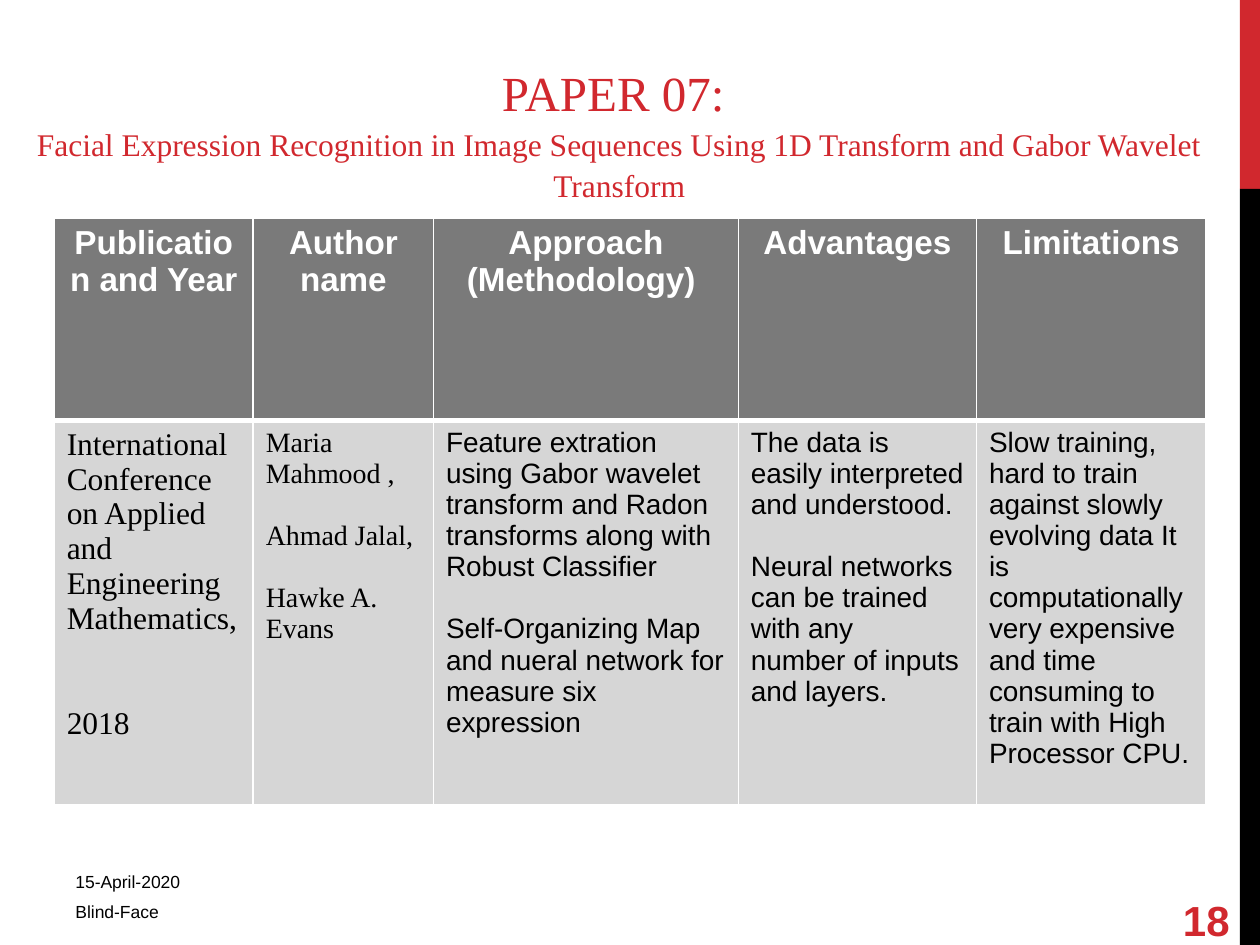
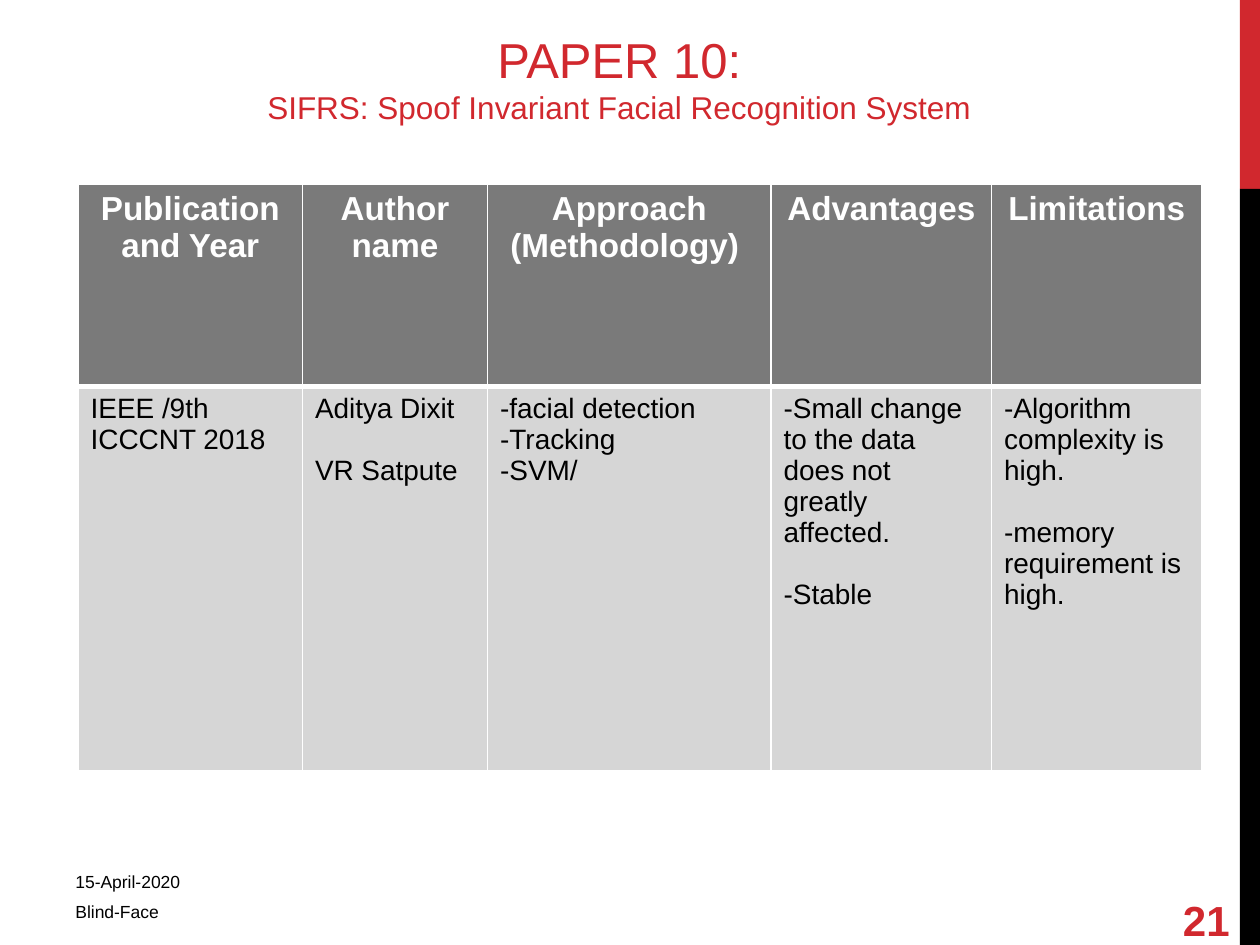
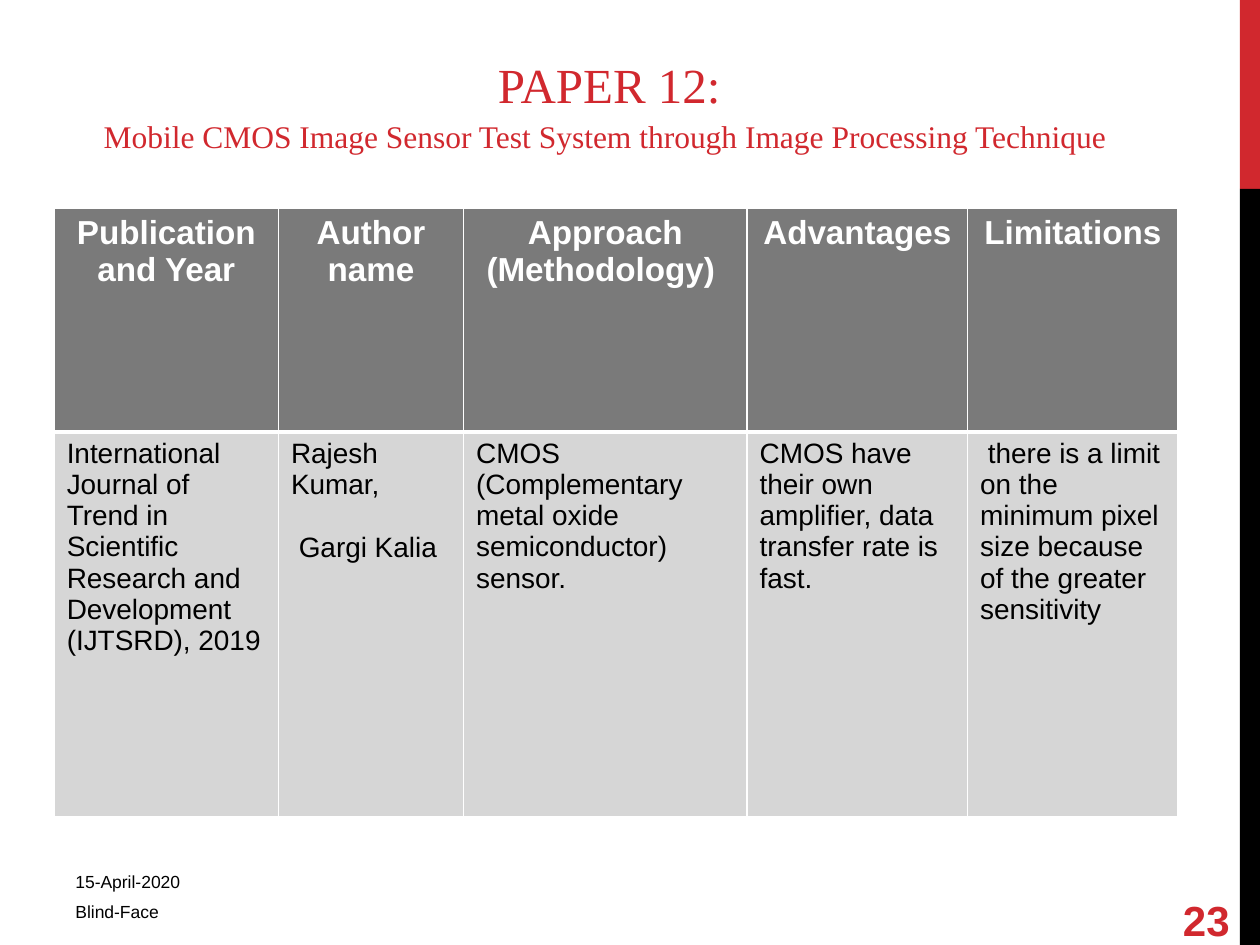
from lxml import etree
from pptx import Presentation
from pptx.dml.color import RGBColor
from pptx.enum import shapes, text
from pptx.oxml import ns
from pptx.util import Inches, Pt

RED, BLACK, WHITE = "D1282E", "000000", "FFFFFF"
HEADER_GRAY, BODY_GRAY = "7A7A7A", "D6D6D6"
SANS, SERIF = "Arial", "Times New Roman"
HEADINGS = ["Publication and Year", "Author name", "Approach (Methodology) ",
            "Advantages", "Limitations"]
COLUMNS = [1.78, 1.47, 2.25, 1.75, 1.67]
BODY_HEIGHT = 3.05
LINE_HEIGHT = 1.11

PAPERS = [
    {
        "page": 18, "font": SERIF, "title_box": (0.08, 0.17, 9.67, 1.5),
        "title": "PAPER 07: ", "spacing": 1.1,
        "subtitle": "Facial Expression Recognition in Image Sequences Using 1D Transform "
                    "and Gabor Wavelet Transform",
        "table_at": (0.43, 1.73), "columns": [1.58, 1.43, 2.42, 1.89, 1.82],
        "header_height": 1.61,
        "cells": [
            ("International Conference on Applied and Engineering Mathematics,\n\n\n2018",
             SERIF, 18),
            ("Maria Mahmood ,\n\nAhmad Jalal,\n\nHawke A. Evans", SERIF, 16),
            ("Feature extration using Gabor wavelet transform and Radon transforms along "
             "with Robust Classifier\n\nSelf-Organizing Map and nueral network for measure "
             "six expression",),
            ("The data is easily interpreted and understood.\n\n"
             "Neural networks can be trained with any\nnumber of inputs and layers.",),
            ("Slow training, hard to train against slowly evolving data It is "
             "computationally very expensive\nand time consuming to train with High "
             "Processor CPU.",),
        ],
    },
    {
        "page": 21, "font": SANS, "title_box": (0.08, 0.1, 9.67, 0.95),
        "title": "PAPER 10:", "spacing": 1.0,
        "subtitle": "SIFRS: Spoof Invariant Facial Recognition System",
        "table_at": (0.62, 1.46), "columns": COLUMNS, "header_height": 1.61,
        "cells": [
            ("IEEE /9th ICCCNT 2018",),
            ("Aditya Dixit\n\nVR Satpute",),
            ("-facial detection\n-Tracking\n-SVM/",),
            ("-Small change to the data does not greatly affected.\n\n-Stable",),
            ("-Algorithm complexity is high.\n\n-memory requirement is high.",),
        ],
    },
    {
        "page": 23, "font": SERIF, "title_box": (0, 0.22, 9.67, 1.06),
        "title": "PAPER 12:", "spacing": 1.1,
        "subtitle": "Mobile CMOS Image Sensor Test System through Image Processing Technique ",
        "table_at": (0.43, 1.65), "columns": COLUMNS, "header_height": 1.78,
        "cells": [
            ("International Journal of Trend in Scientific Research and Development "
             "(IJTSRD), 2019",),
            ("Rajesh Kumar,\n\n Gargi Kalia",),
            ("CMOS (Complementary metal oxide semiconductor)\nsensor.",),
            ("CMOS have their own amplifier, data transfer rate is fast.",),
            (" there is a limit on the\nminimum pixel size because of the greater "
             "sensitivity",),
        ],
    },
]


def color(value):
    return RGBColor.from_string(value)


class Deck:
    def __init__(self):
        self.presentation = Presentation()
        self.presentation.slide_width = Inches(10)
        self.presentation.slide_height = Inches(7.5)
        self.slide = None

    def new_slide(self):
        self.slide = self.presentation.slides.add_slide(self.presentation.slide_layouts[6])

    def style(self, paragraph, font, size, hue, bold=False, align=None):
        paragraph.font.name = font
        paragraph.font.size = Pt(size)
        paragraph.font.color.rgb = color(hue)
        paragraph.font.bold = bold
        paragraph.alignment = align

    def band(self, top, height, hue):
        shape = self.slide.shapes.add_shape(
            shapes.MSO_SHAPE.RECTANGLE, Inches(9.84), Inches(top), Inches(0.16), Inches(height))
        shape.shadow.inherit = False
        shape.fill.solid()
        shape.fill.fore_color.rgb = color(hue)
        shape.line.fill.background()

    def text_box(self, box, anchor, bottom_inset=0.05):
        frame = self.slide.shapes.add_textbox(*map(Inches, box)).text_frame
        frame.word_wrap = True
        frame.vertical_anchor = anchor
        frame.margin_bottom = Inches(bottom_inset)
        return frame

    def label(self, content, box, anchor, size=10, hue=BLACK, bold=False, bottom_inset=0.05):
        paragraph = self.text_box(box, anchor, bottom_inset).paragraphs[0]
        paragraph.text = content
        self.style(paragraph, SANS, size, hue, bold)

    def title(self, paper):
        frame = self.text_box(paper["title_box"], text.MSO_ANCHOR.BOTTOM)
        frame.text = paper["title"] + "\n" + paper["subtitle"]
        for paragraph, size in zip(frame.paragraphs, (28, 18)):
            self.style(paragraph, paper["font"], size, RED, align=text.PP_ALIGN.CENTER)
            paragraph.line_spacing = paper["spacing"]

    def border(self, cell, top=1, bottom=1):
        properties = cell._tc.get_or_add_tcPr()
        edges = {"lnL": 1, "lnR": 1, "lnT": top, "lnB": bottom}
        for position, (edge, width) in enumerate(edges.items()):
            line = etree.Element(ns.qn("a:" + edge), w=str(Pt(width)))
            fill = etree.SubElement(line, ns.qn("a:solidFill"))
            etree.SubElement(fill, ns.qn("a:srgbClr"), val=WHITE)
            properties.insert(position, line)

    def fill_cell(self, cell, hue):
        cell.fill.solid()
        cell.fill.fore_color.rgb = color(hue)

    def header_cell(self, cell, heading):
        self.fill_cell(cell, HEADER_GRAY)
        self.border(cell, bottom=3)
        cell.text = heading
        self.style(cell.text_frame.paragraphs[0], SANS, 19, WHITE, True, text.PP_ALIGN.CENTER)

    def body_cell(self, cell, content, font=SANS, size=16):
        self.fill_cell(cell, BODY_GRAY)
        self.border(cell, top=3)
        frame = cell.text_frame
        paragraph, skipped = None, 0
        for line in content.split("\n"):
            if not line:
                skipped += 1
                continue
            paragraph = frame.add_paragraph() if paragraph else frame.paragraphs[0]
            paragraph.text = line
            self.style(paragraph, font, size, BLACK)
            if skipped:
                paragraph.space_before = Pt(round(skipped * size * LINE_HEIGHT, 1))
            skipped = 0

    def table(self, paper):
        left, top = paper["table_at"]
        heights = [paper["header_height"], BODY_HEIGHT]
        table = self.slide.shapes.add_table(
            2, len(HEADINGS), Inches(left), Inches(top),
            Inches(sum(paper["columns"])), Inches(sum(heights))).table
        table.horz_banding = False
        for row, height in zip(table.rows, heights):
            row.height = Inches(height)
        for index, width in enumerate(paper["columns"]):
            table.columns[index].width = Inches(width)
            self.header_cell(table.cell(0, index), HEADINGS[index])
            self.body_cell(table.cell(1, index), *paper["cells"][index])

    def footer(self, page):
        self.label("15-April-2020", (0.5, 6.75, 3.75, 0.33), text.MSO_ANCHOR.BOTTOM,
                   bottom_inset=0)
        self.label("Blind-Face", (0.5, 7.1, 3.75, 0.31), text.MSO_ANCHOR.TOP)
        self.label(str(page), (9.29, 6.58, 0.58, 1.44), text.MSO_ANCHOR.MIDDLE, 24, RED, True)

    def paper_slide(self, paper):
        self.new_slide()
        self.band(0, 1.5, RED)
        self.band(1.5, 6, BLACK)
        self.title(paper)
        self.table(paper)
        self.footer(paper["page"])


def main():
    deck = Deck()
    for paper in PAPERS:
        deck.paper_slide(paper)
    deck.presentation.save("out.pptx")


if __name__ == "__main__":
    main()
